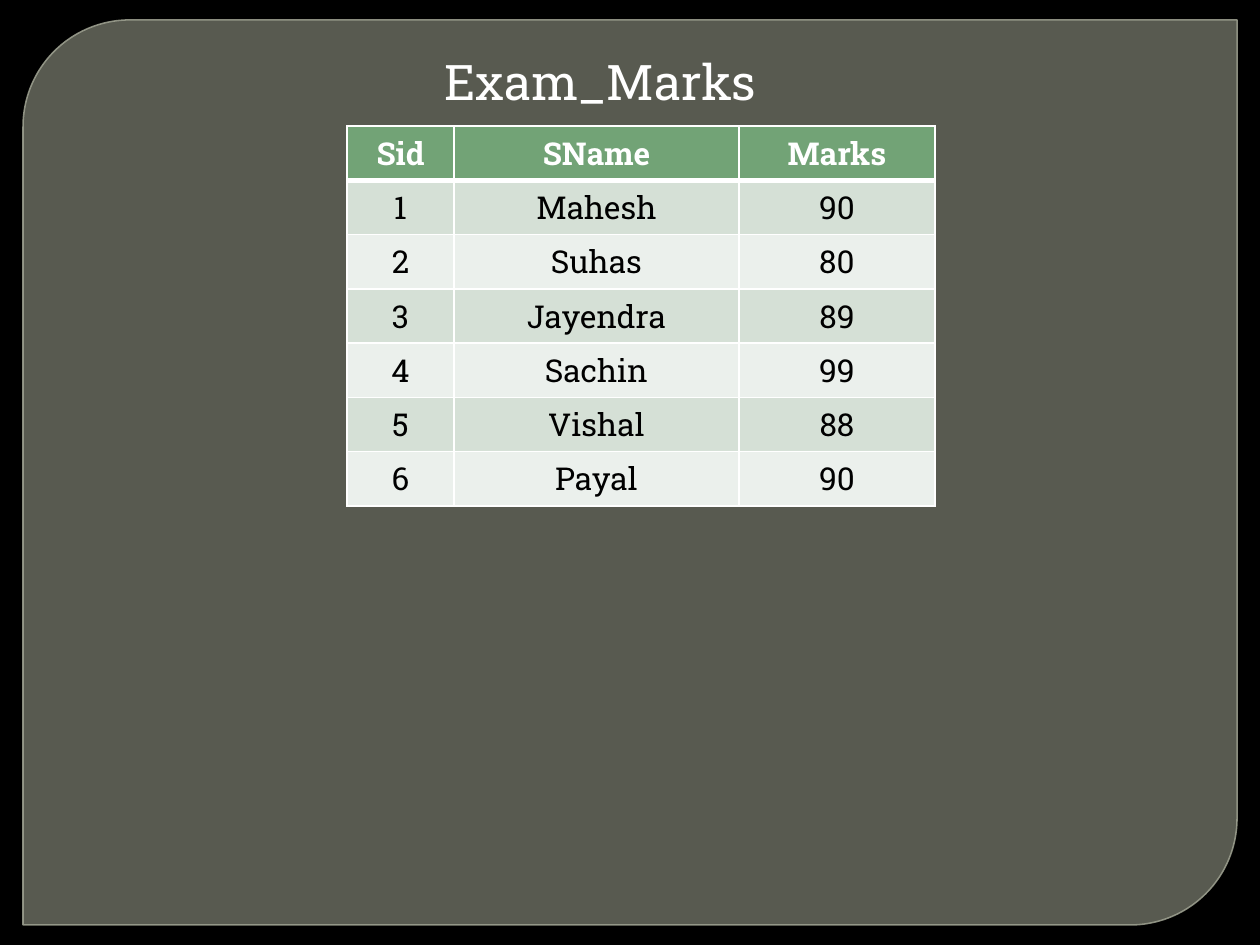
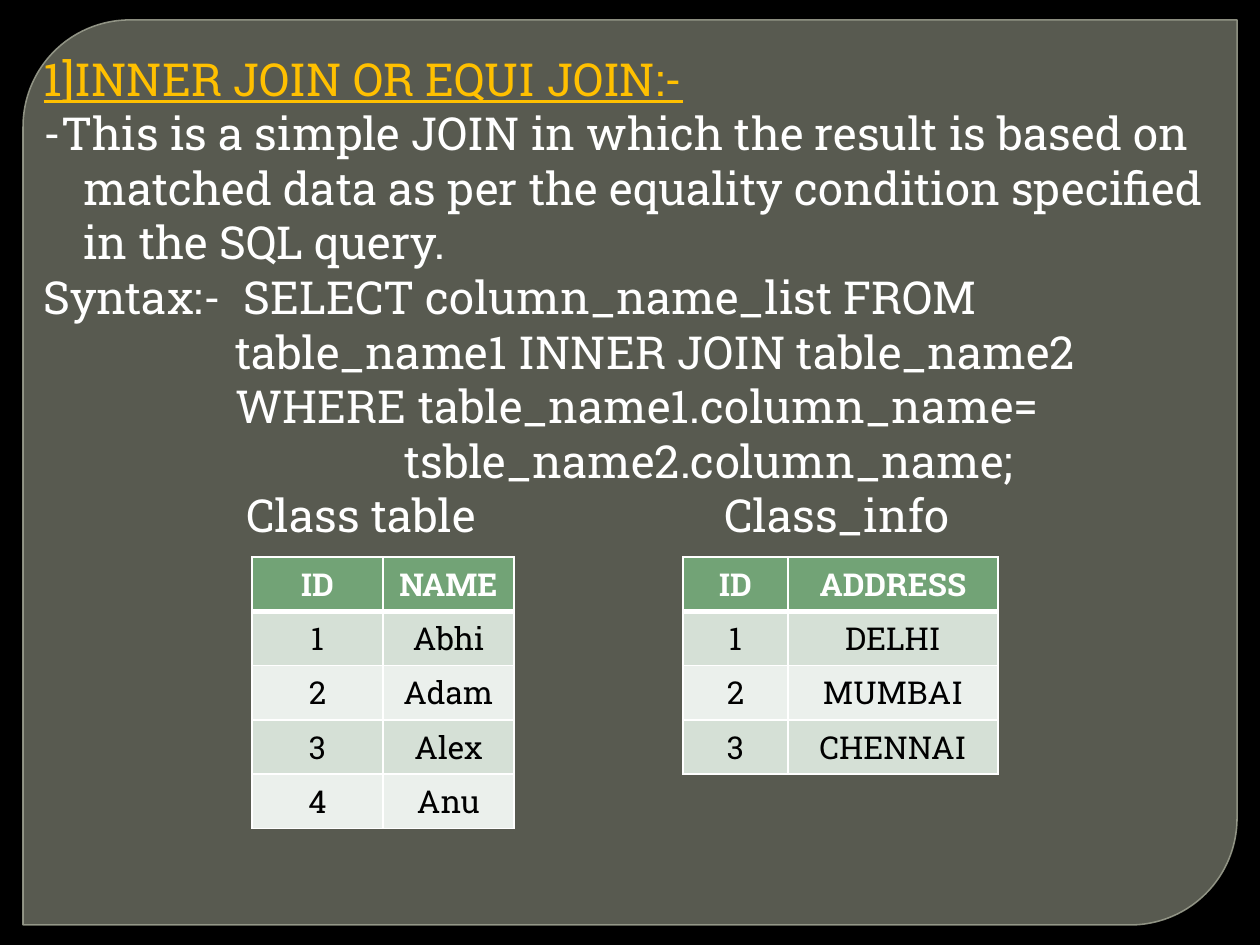
from dataclasses import dataclass

from lxml.etree import SubElement
from pptx import Presentation
from pptx.dml.color import RGBColor
from pptx.enum.shapes import MSO_SHAPE
from pptx.enum.text import MSO_ANCHOR, MSO_AUTO_SIZE, PP_ALIGN
from pptx.oxml.ns import qn
from pptx.util import Emu, Pt


@dataclass(frozen=True)
class Theme:
    """Colours, font and type sizes shared by the slides."""
    font: str = "Roboto Slab"
    title: int = 28
    body: int = 26
    cell: int = 18
    leading: float = 1.2
    back: str = "000000"
    panel: str = "888B7B"
    panel_line: str = "9DA090"
    white: str = "FFFFFF"
    black: str = "000000"
    accent: str = "FFC000"
    header: str = "72A376"
    bands: tuple = ("D5E0D6", "EBF0EC")


T = Theme()
PX = 914400 / 126
ROW = 54


def write(sp, box, lines, size, color):
    """Place a text shape and fill it with (text, left indent, first-line indent)."""
    sp.left, sp.top, sp.width, sp.height = [Emu(int(v * PX)) for v in box]
    tf = sp.text_frame
    tf.word_wrap = True
    tf.auto_size = MSO_AUTO_SIZE.NONE
    tf.vertical_anchor = MSO_ANCHOR.TOP
    tf.text = "\n".join(text for text, _, _ in lines)
    for p, (_, left, first) in zip(tf.paragraphs, lines):
        p.alignment = PP_ALIGN.LEFT
        p.line_spacing = Pt(size * T.leading)
        pPr = p._p.get_or_add_pPr()
        pPr.set("marL", str(int(left * PX)))
        pPr.set("indent", str(int(first * PX)))
        font = p.runs[0].font
        font.name, font.size = T.font, Pt(size)
        font.color.rgb = RGBColor.from_string(color)


def add_grid(slide, left, top, widths, rows):
    """Add a banded table with a header row and white rules."""
    size = [Emu(int(v * PX)) for v in (left, top, sum(widths), ROW * len(rows))]
    table = slide.shapes.add_table(len(rows), len(widths), *size).table
    for column, width in zip(table.columns, widths):
        column.width = Emu(int(width * PX))
    for i, row in enumerate(rows):
        for j, text in enumerate(row):
            cell = table.cell(i, j)
            cell.text = text
            p = cell.text_frame.paragraphs[0]
            p.alignment = PP_ALIGN.CENTER
            font = p.runs[0].font
            font.name, font.size, font.bold = T.font, Pt(T.cell), i == 0
            font.color.rgb = RGBColor.from_string(T.black if i else T.white)
            tcPr = cell._tc.get_or_add_tcPr()
            for side in "LRTB":
                heavy = (i, side) in ((0, "B"), (1, "T"))
                ln = SubElement(tcPr, qn(f"a:ln{side}"), w=str(Pt(3 if heavy else 1)))
                SubElement(SubElement(ln, qn("a:solidFill")), qn("a:srgbClr"), val=T.white)
            cell.fill.solid()
            cell.fill.fore_color.rgb = RGBColor.from_string(T.bands[(i - 1) % 2] if i else T.header)


prs = Presentation()
prs.slide_width, prs.slide_height = Emu(int(1260 * PX)), Emu(int(945 * PX))
master = prs.slide_master
master.background.fill.solid()
master.background.fill.fore_color.rgb = RGBColor.from_string(T.back)
title_only = prs.slide_layouts[5]

# Slide 1: exam marks
slide = prs.slides.add_slide(title_only)

# The rounded panel is built here, then moved to the master for both slides
panel = slide.shapes.add_shape(MSO_SHAPE.ROUND_2_DIAG_RECTANGLE,
                               *[Emu(int(v * PX)) for v in (23, 20, 1214, 905)])
panel.adjustments[0], panel.adjustments[1] = 0.118, 0
panel.shadow.inherit = False
panel.fill.solid()
panel.fill.fore_color.rgb = RGBColor.from_string(T.panel)
panel.line.color.rgb = RGBColor.from_string(T.panel_line)
panel.line.width = Pt(0.87)
fill_color, line_color = panel._element.spPr.iter(qn("a:srgbClr"))
SubElement(fill_color, qn("a:alpha"), val="65000")
SubElement(line_color, qn("a:alpha"), val="88000")
panel._element.nvSpPr.cNvPr.set("id", "99")
master.shapes._spTree.insert(2, panel._element)

write(slide.shapes.title, (31, 45, 1229, 70), [("Exam_Marks", 401, 0)], T.title, T.white)
add_grid(slide, 347, 126, (107, 285, 196), [
    ("Sid", "SName", "Marks"),
    ("1", "Mahesh", "90"),
    ("2", "Suhas", "80"),
    ("3", "Jayendra", "89"),
    ("4", "Sachin", "99"),
    ("5", "Vishal", "88"),
    ("6", "Payal", "90"),
])

# Slide 2: inner join
slide = prs.slides.add_slide(title_only)
write(slide.shapes.title, (31, 45, 1229, 54), [("1]INNER JOIN OR EQUI JOIN:-", 0, 0)],
      T.body, T.accent)
slide.shapes.title.text_frame.paragraphs[0].runs[0].font.underline = True
write(slide.shapes.add_textbox(0, 0, 0, 0), (31, 99, 1229, 395), [
    ("-This is a simple JOIN in which the result is based on matched data "
     "as per the equality condition specified in the SQL query.", 40, -40),
    ("Syntax:-  SELECT column_name_list FROM", 40, -40),
    ("table_name1 INNER JOIN table_name2", 192, 0),
    ("WHERE table_name1.column_name=", 192, 0),
    ("tsble_name2.column_name;", 361, 0),
], T.body, T.white)

tables = [
    ("Class table", 234, 252, (131, 131),
     [("ID", "NAME"), ("1", "Abhi"), ("2", "Adam"), ("3", "Alex"), ("4", "Anu")]),
    ("Class_info", 712, 683, (105, 210),
     [("ID", "ADDRESS"), ("1", "DELHI"), ("2", "MUMBAI"), ("3", "CHENNAI")]),
]
for caption, caption_left, left, widths, rows in tables:
    write(slide.shapes.add_textbox(0, 0, 0, 0), (caption_left, 481, 300, 68),
          [(caption, 0, 0)], T.body, T.white)
    add_grid(slide, left, 557, widths, rows)

prs.save("out.pptx")
